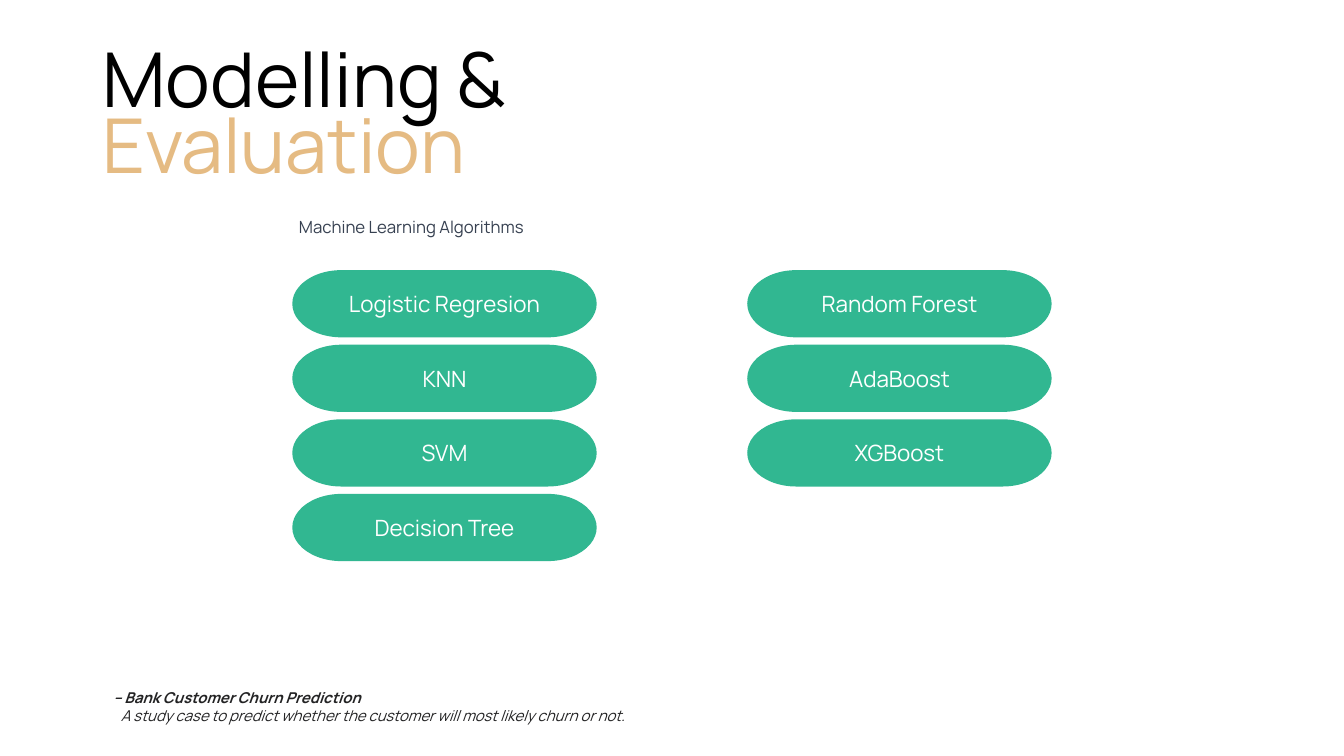
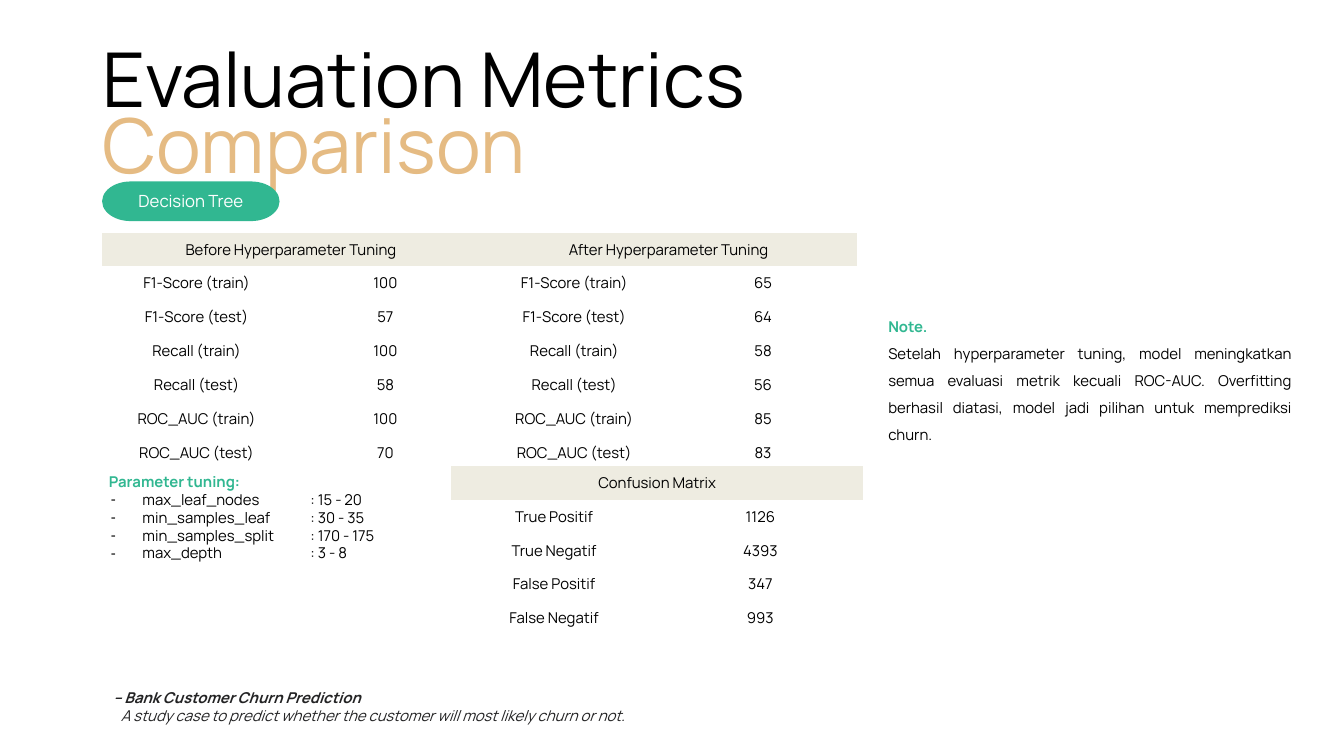
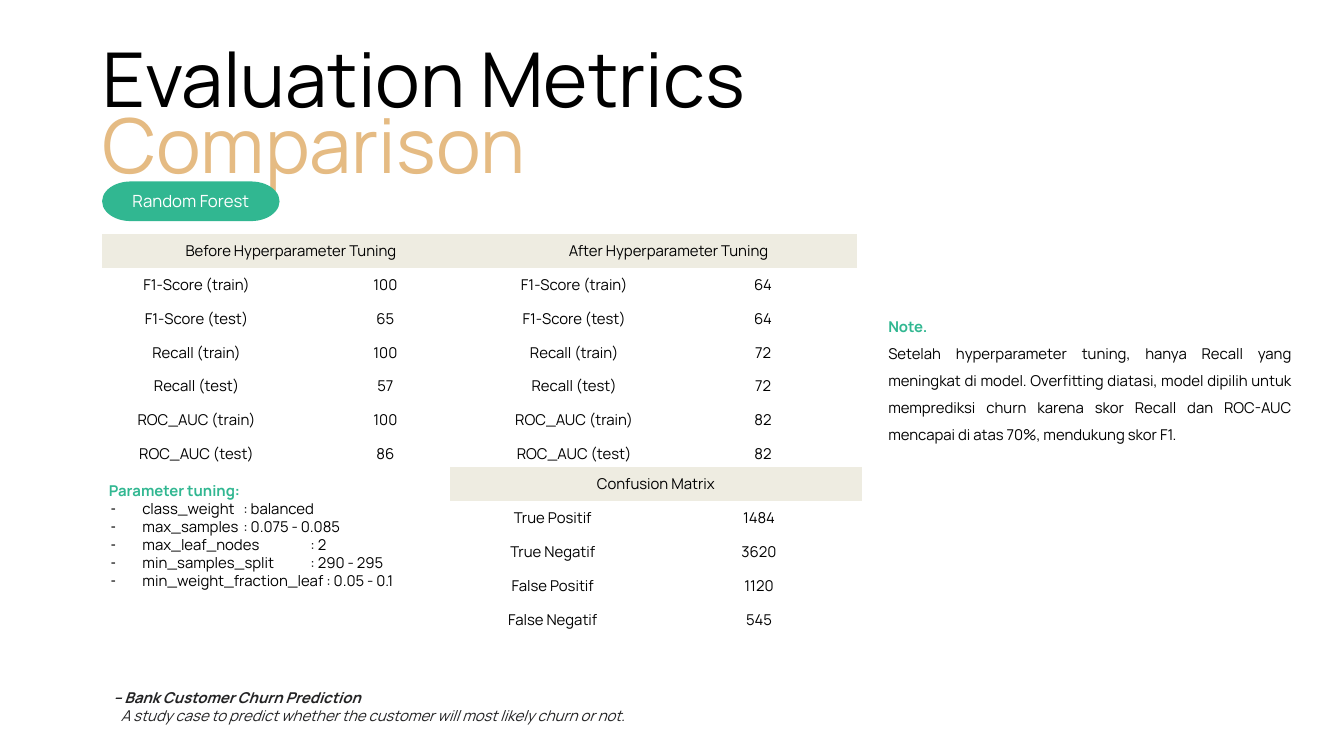
"""Build three slides on churn model algorithms and their evaluation metrics."""
from lxml import etree
from pptx import Presentation
from pptx.dml.color import RGBColor
from pptx.enum import shapes, text
from pptx.oxml import ns
from pptx.util import Inches, Pt

FONT = "Manrope"
BLACK = RGBColor(0x00, 0x00, 0x00)
WHITE = RGBColor(0xFF, 0xFF, 0xFF)
GREEN = RGBColor(0x31, 0xB7, 0x91)
SAND = RGBColor(0xE5, 0xBB, 0x83)
HEADER_FILL = RGBColor(0xEE, 0xEC, 0xE1)
FOOTER_INK = RGBColor(0x23, 0x23, 0x24)
SLATE = RGBColor(0x37, 0x41, 0x51)
LEFT = 1.52
NO_GRID_STYLE = "{2D5ABB26-0587-4C30-8999-92F81FD0307C}"

METRICS = ["F1-Score (train)", "F1-Score (test)", "Recall (train)",
           "Recall (test)", "ROC_AUC (train)", "ROC_AUC (test)"]
OUTCOMES = ["True Positif", "True Negatif", "False Positif", "False Negatif"]

ALGORITHMS = [
    (4.35, ["Logistic Regresion", "KNN", "SVM", "Decision Tree"]),
    (11.12, ["Random Forest", "AdaBoost", "XGBoost"]),
]

MODELS = [
    {
        "name": "Decision Tree",
        "before": [100, 57, 100, 58, 100, 70],
        "after": [65, 64, 58, 56, 85, 83],
        "metrics_at": (LEFT, 3.46),
        "confusion": [1126, 4393, 347, 993],
        "confusion_at": (6.71, 6.93),
        "tuning": ["max_leaf_nodes\t: 15 - 20", "min_samples_leaf\t: 30 - 35",
                   "min_samples_split\t: 170 - 175", "max_depth\t\t: 3 - 8"],
        "tuning_box": (LEFT, 6.93, 5.14, 1.55),
        "note": "Setelah hyperparameter tuning, model meningkatkan semua "
                "evaluasi metrik kecuali ROC-AUC. Overfitting berhasil diatasi, "
                "model jadi pilihan untuk memprediksi churn.",
    },
    {
        "name": "Random Forest",
        "before": [100, 65, 100, 57, 100, 86],
        "after": [64, 64, 72, 72, 82, 82],
        "metrics_at": (LEFT, 3.48),
        "confusion": [1484, 3620, 1120, 545],
        "confusion_at": (6.69, 6.95),
        "tuning": ["class_weight\t: balanced", "max_samples\t: 0.075 - 0.085",
                   "max_leaf_nodes\t: 2", "min_samples_split\t: 290 - 295",
                   "min_weight_fraction_leaf : 0.05 - 0.1"],
        "tuning_box": (LEFT, 7.07, 5.14, 1.82),
        "note": "Setelah hyperparameter tuning, hanya Recall yang meningkat di "
                "model. Overfitting diatasi, model dipilih untuk memprediksi "
                "churn karena skor Recall dan ROC-AUC mencapai di atas 70%, "
                "mendukung skor F1.",
    },
]


def write(shape, box, lines, size, color, inset=0.1, spacing=1.0,
          align=text.PP_ALIGN.LEFT, anchor=text.MSO_ANCHOR.TOP):
    """Place a shape, fill it with formatted lines and return its paragraphs."""
    shape.left, shape.top, shape.width, shape.height = map(Inches, box)
    frame = shape.text_frame
    frame.word_wrap = True
    frame.auto_size = text.MSO_AUTO_SIZE.NONE
    frame.vertical_anchor = anchor
    frame.margin_left = frame.margin_right = Inches(inset)
    frame.margin_top = frame.margin_bottom = Inches(min(inset, 0.1))
    frame.text = "\n".join(lines)
    for paragraph in frame.paragraphs:
        paragraph.alignment = align
        paragraph.line_spacing = spacing
        paragraph.space_before = Pt(0)
        paragraph.font.name = FONT
        paragraph.font.size = Pt(size)
        paragraph.font.color.rgb = color
        paragraph.font.bold = False
    return frame.paragraphs


def add_pill(slide, box, label, size):
    """Add a green rounded label."""
    pill = slide.shapes.add_shape(
        shapes.MSO_SHAPE.FLOWCHART_TERMINATOR, *map(Inches, box))
    pill.shadow.inherit = False
    pill.fill.solid()
    pill.fill.fore_color.rgb = GREEN
    pill.line.fill.background()
    write(pill, box, [label], size, WHITE, 0.05,
          align=text.PP_ALIGN.CENTER, anchor=text.MSO_ANCHOR.MIDDLE)


prs = Presentation()
prs.slide_width, prs.slide_height = Inches(20), Inches(11.25)
title_only, title_and_body = prs.slide_layouts[5], prs.slide_layouts[1]

overview = prs.slides.add_slide(title_only)
comparisons = [prs.slides.add_slide(title_and_body) for model in MODELS]

headings = [("Modelling &", "Evaluation")] + [("Evaluation Metrics", "Comparison")] * 2
for slide, (heading, accent) in zip(prs.slides, headings):
    write(slide.shapes.title, (LEFT, 0.2, 10.71, 1.63), [heading], 81, BLACK, 0, 1.2)
    accent_line = slide.shapes.add_textbox(0, 0, 0, 0)
    write(accent_line, (LEFT, 1.18, 11.99, 1.63), [accent], 81, SAND, 0, 1.2)
    footer = slide.shapes.add_textbox(0, 0, 0, 0)
    project, subtitle = write(
        footer, (LEFT, 10.15, 9.6, 0.74),
        ["– Bank Customer Churn Prediction",
         "A study case to predict whether the customer will most likely churn or not."],
        16, FOOTER_INK)
    project.font.bold = True
    for paragraph, indent in ((project, 0.07), (subtitle, 0.18)):
        paragraph.font.italic = True
        paragraph._p.get_or_add_pPr().set("marL", str(Inches(indent)))

subheading = overview.shapes.add_textbox(0, 0, 0, 0)
write(subheading, (4.35, 3.12, 4.91, 0.5), ["Machine Learning Algorithms"], 18, SLATE)
for left, names in ALGORITHMS:
    for row, name in enumerate(names):
        add_pill(overview, (left, 4.02 + row * 1.11, 4.53, 1), name, 24)

for slide, model in zip(comparisons, MODELS):
    add_pill(slide, (LEFT, 2.7, 2.64, 0.59), model["name"], 18)

    note = slide.shapes.add_textbox(0, 0, 0, 0)
    note_label, _ = write(note, (13.12, 4.5, 6.2, 2.22), ["Note.", model["note"]],
                          16, BLACK, spacing=1.5, align=text.PP_ALIGN.JUSTIFY)

    tuning_label, *parameters = write(
        slide.placeholders[1], model["tuning_box"],
        ["Parameter tuning:"] + model["tuning"], 16, BLACK)
    for label in (note_label, tuning_label):
        label.font.bold = True
        label.font.color.rgb = GREEN
    for paragraph in (tuning_label, *parameters):
        is_label = paragraph is tuning_label
        properties = paragraph._p.get_or_add_pPr()
        properties.set("marL", str(Inches(0 if is_label else 0.5)))
        properties.set("indent", str(Inches(0 if is_label else -0.47)))
        properties.set("defTabSz", str(Inches(1)))
        bullet = etree.Element(ns.qn("a:buNone" if is_label else "a:buChar"))
        if not is_label:
            bullet.set("char", "-")
        properties[-1].addprevious(bullet)

    metric_rows = [("Before Hyperparameter Tuning", "", "After Hyperparameter Tuning", "")]
    metric_rows += zip(METRICS, model["before"], METRICS, model["after"])
    confusion_rows = [("Confusion Matrix", "")] + list(zip(OUTCOMES, model["confusion"]))
    for rows, (left, top), column_width in (
            (metric_rows, model["metrics_at"], 2.81),
            (confusion_rows, model["confusion_at"], 3.07)):
        columns = len(rows[0])
        frame = slide.shapes.add_table(
            len(rows), columns, Inches(left), Inches(top),
            Inches(column_width * columns), Inches(0.42 * len(rows)))
        table = frame.table
        table.first_row = table.horz_banding = False
        table._tbl.tblPr.find(ns.qn("a:tableStyleId")).text = NO_GRID_STYLE
        for start in range(0, columns, 2):
            table.cell(0, start).merge(table.cell(0, start + 1))
        for r, values in enumerate(rows):
            for c, value in enumerate(values):
                cell = table.cell(r, c)
                cell.text = str(value)
                cell.vertical_anchor = text.MSO_ANCHOR.MIDDLE
                cell.margin_top = cell.margin_bottom = Inches(0.1)
                cell.margin_left = cell.margin_right = Inches(0.1)
                if r == 0:
                    cell.fill.solid()
                    cell.fill.fore_color.rgb = HEADER_FILL
                else:
                    cell.fill.background()
                paragraph = cell.text_frame.paragraphs[0]
                paragraph.alignment = text.PP_ALIGN.CENTER
                paragraph.font.name = FONT
                paragraph.font.size = Pt(16)
                paragraph.font.color.rgb = BLACK

prs.save("out.pptx")
